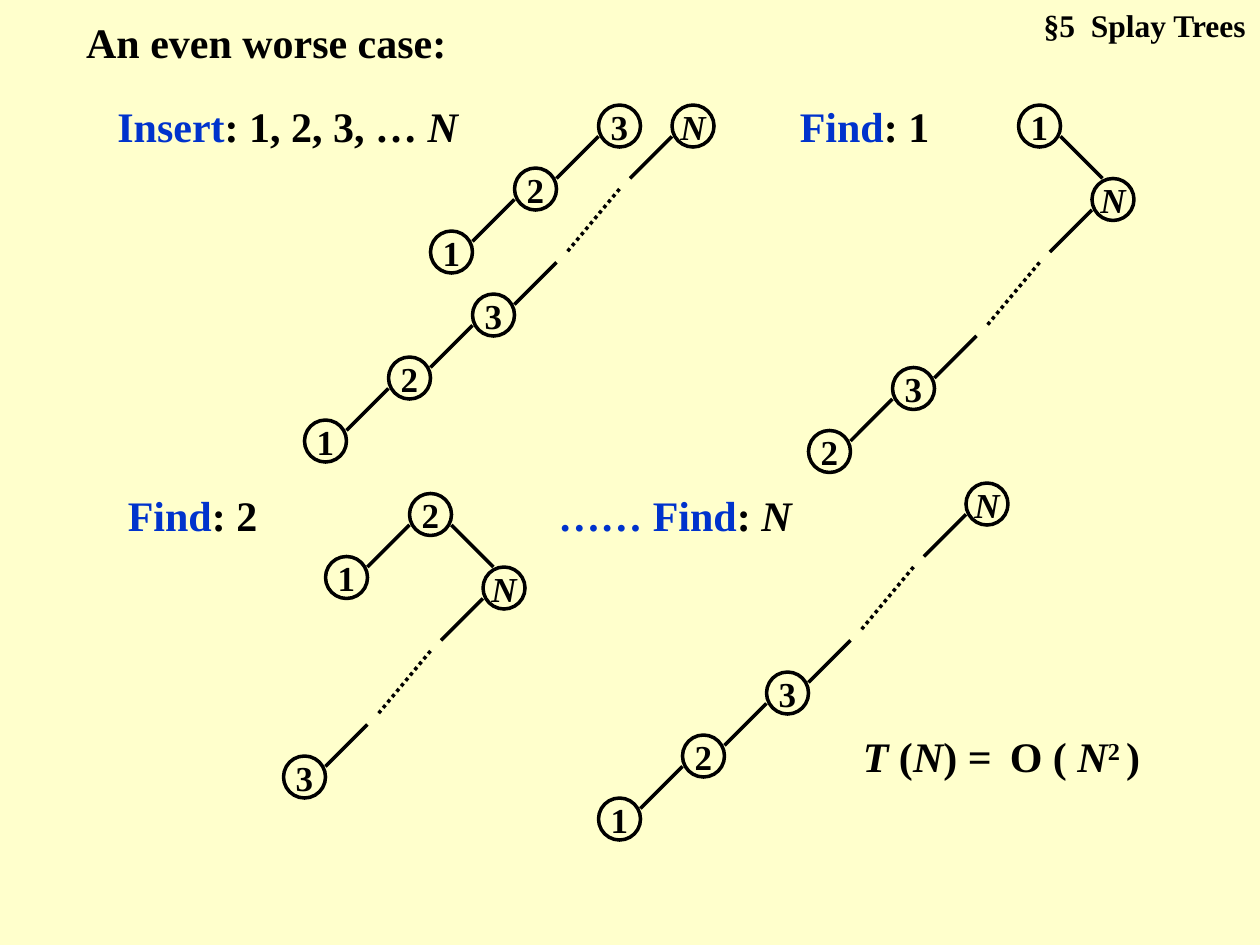
from dataclasses import dataclass

from lxml.etree import SubElement
from pptx import Presentation
from pptx.dml.color import RGBColor
from pptx.enum.dml import MSO_LINE
from pptx.enum.shapes import MSO_CONNECTOR, MSO_SHAPE
from pptx.enum.text import MSO_ANCHOR, MSO_AUTO_SIZE, PP_ALIGN
from pptx.oxml.ns import qn
from pptx.util import Pt


@dataclass(frozen=True)
class Theme:
    face: str = "Times New Roman"
    paper: RGBColor = RGBColor(0xFF, 0xFF, 0xCC)
    ink: RGBColor = RGBColor(0, 0, 0)
    blue: RGBColor = RGBColor(0x00, 0x33, 0xCC)
    main: int = 24
    small: int = 18
    node: int = 20
    line: int = 2


THEME = Theme()
NODE = 24           # diameter of a node
STEP = (-48, 36)    # from a node to its left child
TURN = (42, 42)     # from a root to its right child
DROP = (-114, 108)  # from N down to the first numbered node


def style(para, size, align=PP_ALIGN.LEFT):
    para.alignment = align
    font = para.font
    font.name, font.size, font.bold = THEME.face, Pt(size), True
    font.color.rgb = THEME.ink


def write(shape, parts, size=THEME.main, align=PP_ALIGN.LEFT):
    """Fill a text shape with (text, kind) parts; kinds: key, var, sup or none."""
    frame = shape.text_frame
    frame.word_wrap = True
    frame.auto_size = MSO_AUTO_SIZE.NONE
    frame.vertical_anchor = MSO_ANCHOR.TOP
    para = frame.paragraphs[0]
    style(para, size, align)
    for text, kind in parts:
        run = para.add_run()
        run.text = text
        if kind == "key":
            run.font.color.rgb = THEME.blue
        elif kind == "var":
            run.font.italic = True
        elif kind == "sup":
            run._r.get_or_add_rPr().set("baseline", "30000")


def label(slide, box, parts, **look):
    write(slide.shapes.add_textbox(*map(Pt, box)), parts, **look)


def title(slide, box, text):
    shape = slide.shapes.title
    shape.left, shape.top, shape.width, shape.height = map(Pt, box)
    write(shape, [(text, "")])


def node(tree, x, y, text):
    ring = tree.shapes.add_shape(MSO_SHAPE.OVAL, Pt(x), Pt(y), Pt(NODE), Pt(NODE))
    ring.shadow.inherit = False
    ring.fill.background()
    ring.line.color.rgb = THEME.ink
    ring.line.width = Pt(THEME.line)
    frame = ring.text_frame
    frame.word_wrap = False
    frame.vertical_anchor = MSO_ANCHOR.MIDDLE
    para = frame.paragraphs[0]
    para.text = text
    style(para, THEME.node, PP_ALIGN.CENTER)
    para.font.italic = text == "N"


def link(tree, x, y, wide, high, dash=None):
    line = tree.shapes.add_connector(
        MSO_CONNECTOR.STRAIGHT, Pt(x), Pt(y), Pt(x + wide), Pt(y + high))
    line.line.color.rgb = THEME.ink
    line.line.width = Pt(THEME.line)
    if dash:
        line.line.dash_style = dash
    SubElement(line._element.spPr, qn("a:effectLst"))


def chain(tree, x, y, names):
    """Nodes going down to the left, each linked to the next."""
    for i, name in enumerate(names):
        left, top = x + i * STEP[0], y + i * STEP[1]
        node(tree, left, top, name)
        if i < len(names) - 1:
            link(tree, left, top + 18, -24, 24)


def spine(tree, x, y, names):
    """N, a dotted gap, then a chain of numbered nodes."""
    node(tree, x, y, "N")
    link(tree, x, y + 18, -24, 24)
    link(tree, x - 30, y + 48, -30, 36, MSO_LINE.ROUND_DOT)
    link(tree, x - 66, y + 90, -24, 24)
    chain(tree, x + DROP[0], y + DROP[1], names)


def splayed(tree, x, y, left, right):
    """A root with its left chain, and N's spine on its right."""
    chain(tree, x, y, left)
    link(tree, x + NODE, y + 18, 24, 24)
    spine(tree, x + TURN[0], y + TURN[1], right)


def main():
    deck = Presentation()
    deck.slide_width, deck.slide_height = Pt(720), Pt(540)
    slide = deck.slides.add_slide(deck.slide_layouts[5])
    fill = slide.background.fill
    fill.solid()
    fill.fore_color.rgb = THEME.paper

    title(slide, (42, 6, 294, 36), "An even worse case:")
    label(slide, (564, 0, 155, 29), [("§5  Splay Trees", "")],
          size=THEME.small, align=PP_ALIGN.RIGHT)

    labels = [
        ((60, 54, 294, 36), [("Insert", "key"), (": 1, 2, 3, … ", ""), ("N", "var")]),
        ((450, 54, 102, 36), [("Find", "key"), (": 1", "")]),
        ((66, 276, 102, 36), [("Find", "key"), (": 2", "")]),
        ((312, 276, 186, 36), [("…… Find", "key"), (": ", ""), ("N", "var")]),
        ((486, 414, 102, 36), [("T", "var"), (" (", ""), ("N", "var"), (") =", "")]),
        ((570, 414, 108, 36), [("O ( ", ""), ("N", "var"), ("2 ", "sup"), (")", "")]),
    ]
    for box, parts in labels:
        label(slide, box, parts)

    trees = [
        (chain, 342, 60, ["321"]),
        (spine, 384, 60, ["321"]),
        (splayed, 582, 60, ["1", "32"]),
        (splayed, 234, 282, ["21", "3"]),
        (spine, 552, 276, ["321"]),
    ]
    for draw, x, y, names in trees:
        draw(slide.shapes.add_group_shape(), x, y, *names)

    deck.save("out.pptx")


if __name__ == "__main__":
    main()
